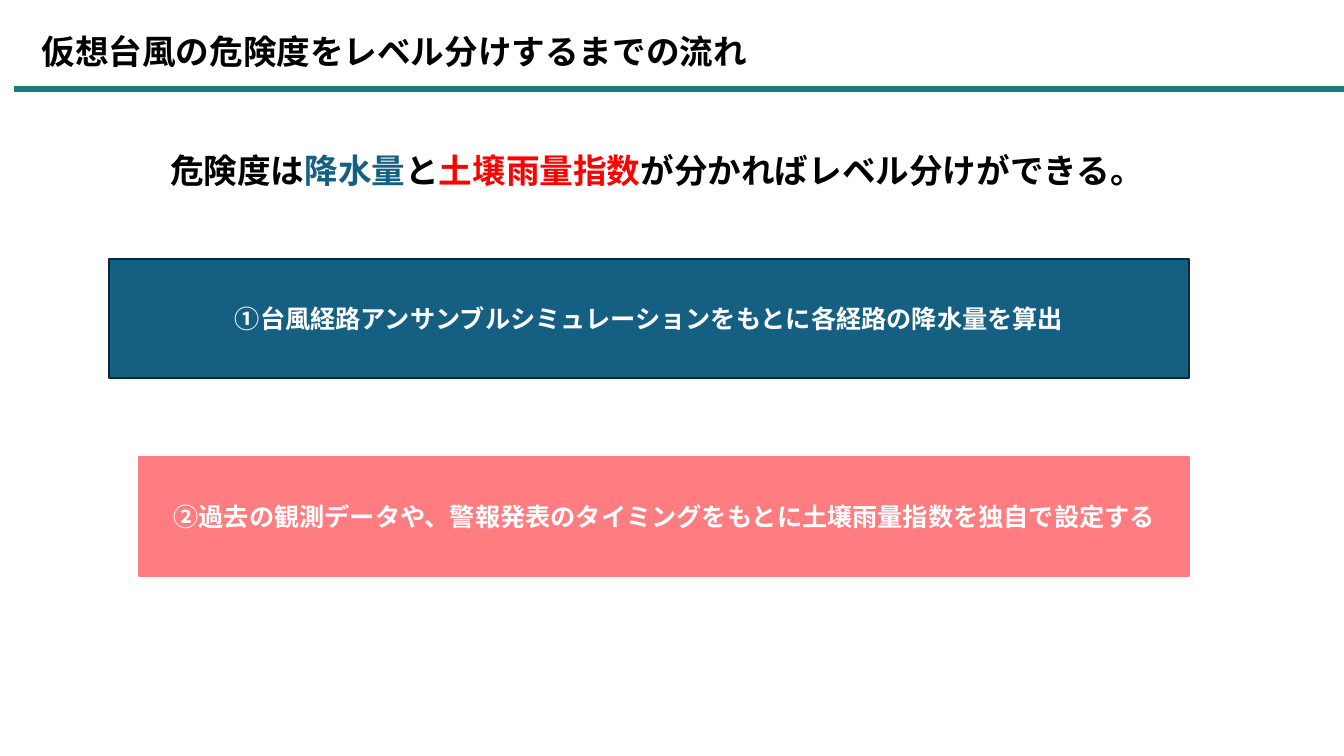
from lxml import etree
from pptx import Presentation
from pptx.dml.color import RGBColor
from pptx.enum.shapes import MSO_CONNECTOR, MSO_SHAPE
from pptx.enum.text import MSO_ANCHOR, MSO_AUTO_SIZE, PP_ALIGN
from pptx.oxml.ns import qn
from pptx.util import Cm, Pt

STRAIGHT = MSO_CONNECTOR.STRAIGHT
RECTANGLE = MSO_SHAPE.RECTANGLE
TOP, MIDDLE = MSO_ANCHOR.TOP, MSO_ANCHOR.MIDDLE
LEFT, CENTER = PP_ALIGN.LEFT, PP_ALIGN.CENTER
GROW = MSO_AUTO_SIZE.SHAPE_TO_FIT_TEXT

FONT = "Noto Sans CJK JP"
BLACK, WHITE = "000000", "FFFFFF"
TEAL, NAVY, DARK_NAVY = "1B7B7D", "156082", "092A39"
RED, PINK = "FF0000", "FF7C80"
PAGE_WIDTH, PAGE_HEIGHT = 33.87, 19.05
STEP_RIGHT, STEP_HEIGHT = 29.97, 3
FIRST_STEP_TOP, STEP_PITCH = 6.53, 4.98

STATEMENT = [
    ("危険度は", BLACK),
    ("降水量", NAVY),
    ("と", BLACK),
    ("土壌雨量指数", RED),
    ("が分かればレベル分けができる。", BLACK),
]
# left edge, text, fill, outline
STEPS = [
    (2.74, "①台風経路アンサンブルシミュレーションをもとに各経路の降水量を算出", NAVY, DARK_NAVY),
    (3.51, "②過去の観測データや、警報発表のタイミングをもとに土壌雨量指数を独自で設定する", PINK, PINK),
]


def color(hex_code):
    return RGBColor.from_string(hex_code)


def format_span(span, size, hex_code):
    """Set the bold face for both Latin and Japanese characters."""
    span.font.name = FONT
    span.font.size = Pt(size)
    span.font.bold = True
    span.font.color.rgb = color(hex_code)
    east_asian = etree.Element(qn("a:ea"), typeface=FONT)
    span.font._element.find(qn("a:latin")).addnext(east_asian)


def write_spans(frame, spans, size, alignment, anchor):
    frame.word_wrap = True
    frame.vertical_anchor = anchor
    para = frame.paragraphs[0]
    para.alignment = alignment
    for text, hex_code in spans:
        span = para.add_run()
        span.text = text
        format_span(span, size, hex_code)


def add_header(page, left, top, width, height):
    """Place the title, and the rule that runs below it to the page edge."""
    rule_y = Cm(top + height + 0.31)
    rule = page.shapes.add_connector(STRAIGHT, Cm(left - 0.43), rule_y, Cm(PAGE_WIDTH), rule_y)
    rule.line.color.rgb = color(TEAL)
    rule.line.width = Pt(4.5)
    etree.SubElement(rule._element.spPr, qn("a:effectLst"))

    title = page.shapes.title
    title.left, title.top, title.width, title.height = Cm(left), Cm(top), Cm(width), Cm(height)
    title_spans = [("仮想台風の危険度をレベル分けするまでの流れ", BLACK)]
    write_spans(title.text_frame, title_spans, 24, LEFT, TOP)
    title.text_frame.auto_size = GROW


def add_statement(page, left, top, width, height):
    box = page.shapes.add_textbox(Cm(left), Cm(top), Cm(width), Cm(height))
    write_spans(box.text_frame, STATEMENT, 24, LEFT, TOP)
    box.text_frame.auto_size = GROW


def add_step(page, left, top, width, height, text, fill, outline):
    box = page.shapes.add_shape(RECTANGLE, Cm(left), Cm(top), Cm(width), Cm(height))
    box.shadow.inherit = False
    box.fill.solid()
    box.fill.fore_color.rgb = color(fill)
    box.line.color.rgb = color(outline)
    box.line.width = Pt(1.5)
    write_spans(box.text_frame, [(text, WHITE)], 18, CENTER, MIDDLE)


def main():
    deck = Presentation()
    deck.slide_width, deck.slide_height = Cm(PAGE_WIDTH), Cm(PAGE_HEIGHT)
    page = deck.slides.add_slide(deck.slide_layouts.get_by_name("Title Only"))
    add_header(page, 0.79, 0.66, 29.69, 1.27)
    for index, (left, text, fill, outline) in enumerate(STEPS):
        top = FIRST_STEP_TOP + index * STEP_PITCH
        add_step(page, left, top, STEP_RIGHT - left, STEP_HEIGHT, text, fill, outline)
    add_statement(page, 4.04, 3.66, 25.02, 1.27)
    deck.save("out.pptx")


if __name__ == "__main__":
    main()
